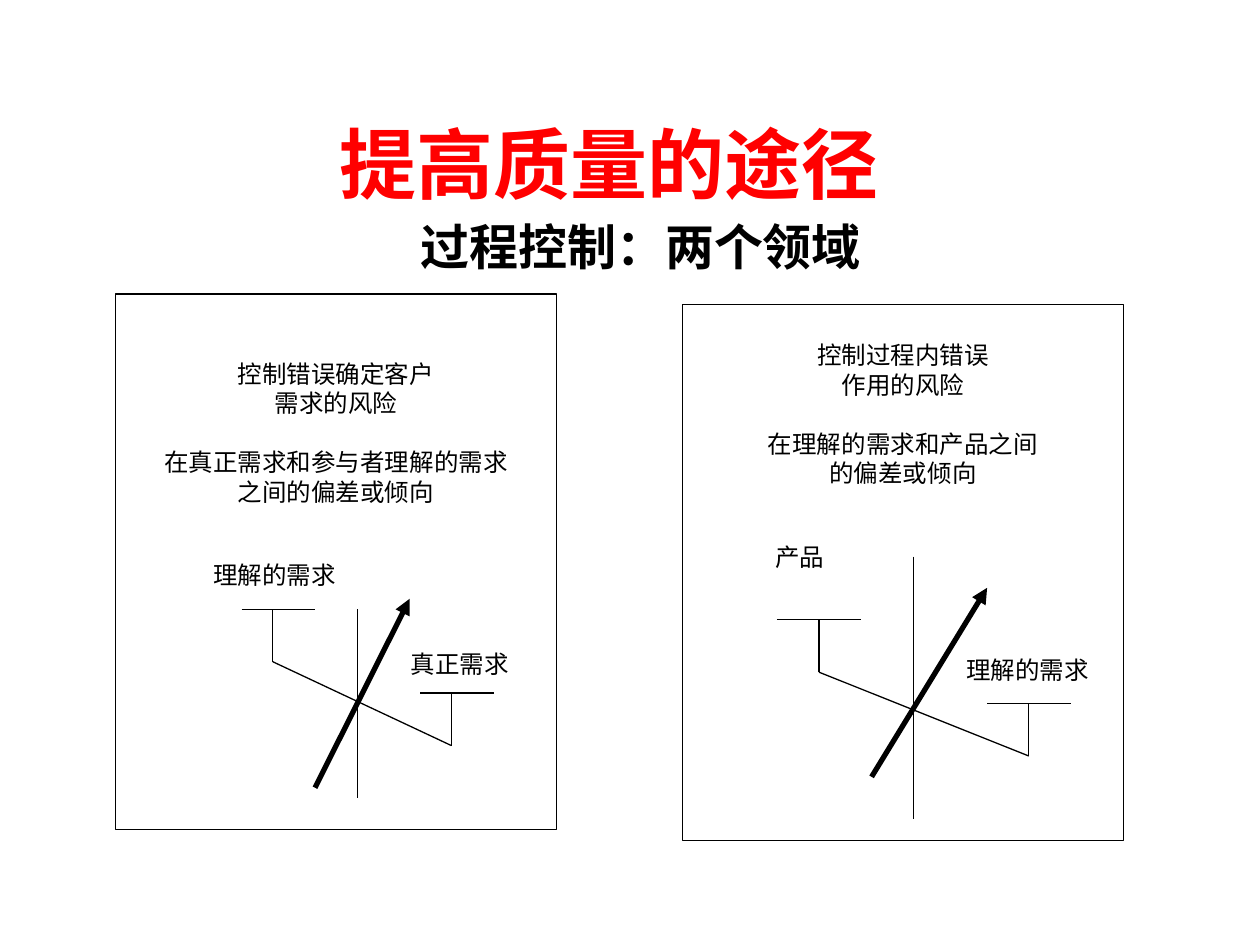
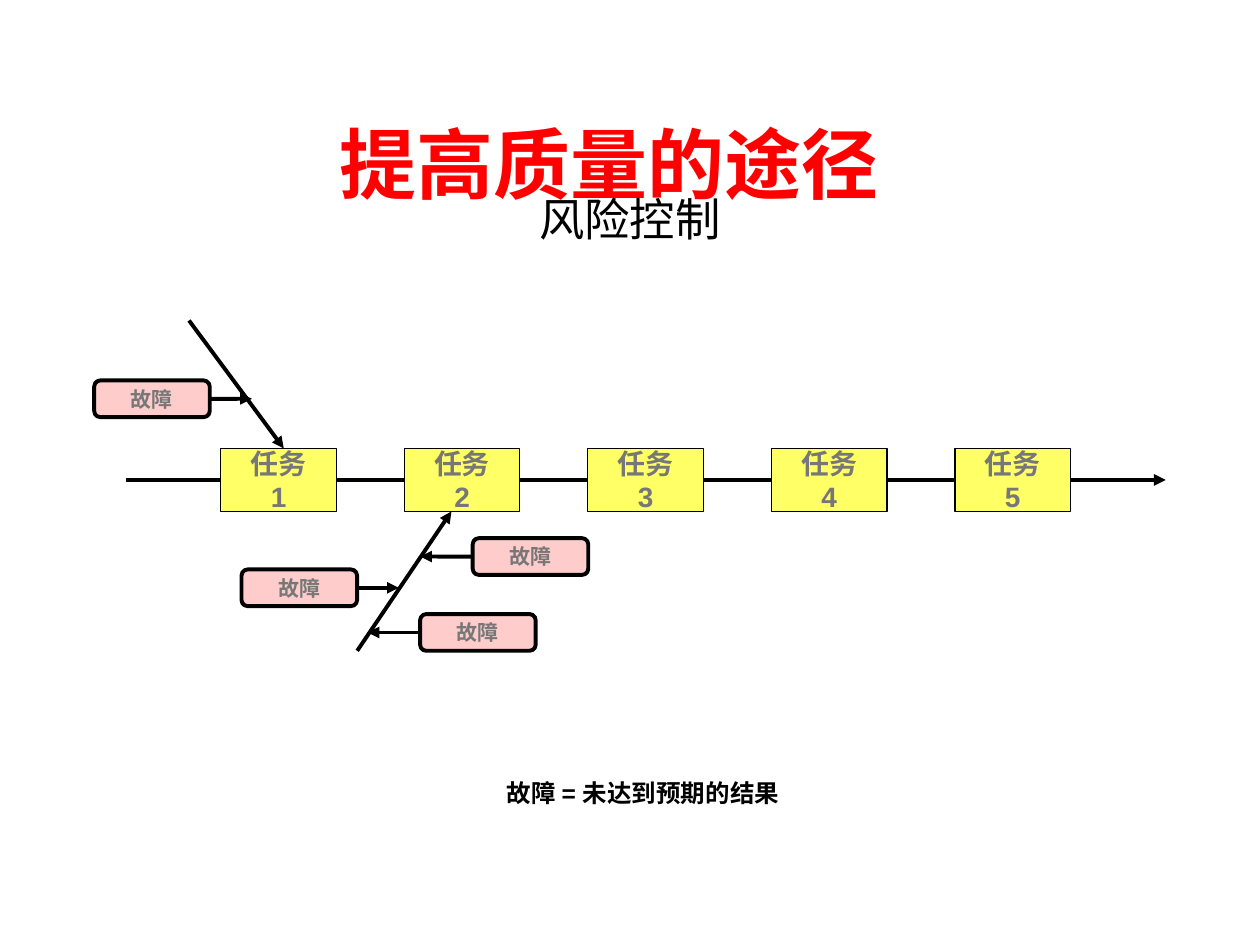
from dataclasses import dataclass
from typing import NamedTuple

from lxml.etree import SubElement
from pptx import Presentation
from pptx.dml.color import RGBColor
from pptx.enum.shapes import MSO_CONNECTOR, MSO_SHAPE
from pptx.enum.text import MSO_ANCHOR as Anchor, MSO_AUTO_SIZE, PP_ALIGN as Align
from pptx.oxml.ns import qn
from pptx.util import Cm, Pt

BLACK, WHITE, RED, GREY = "000000", "FFFFFF", "FF0000", "777777"
TASK_YELLOW, FAULT_PINK = "FFFF66", "FFCCCC"
TITLE_FONT, TEXT_FONT = "Lato", "Arial"
THIN, MEDIUM, THICK = 0.75, 2.25, 3

TITLE = "提高质量的途径"
PANEL_WIDTH, PANEL_HEIGHT = 8.89, 10.8
STEM_DROP = 1.06
BOX_WIDTH, TASK_HEIGHT, FAULT_HEIGHT = 2.33, 1.27, 0.74
TASK_LEFT, TASK_TOP, TASK_STEP, TASK_COUNT = 4.45, 9.04, 3.7, 5
LEFT_SIDE, RIGHT_SIDE = 1, 3


class Point(NamedTuple):
    x: float
    y: float


class Box(NamedTuple):
    left: float
    top: float
    width: float
    height: float


class TextStyle(NamedTuple):
    size: float
    color: str = BLACK
    bold: bool = False
    font: str = TEXT_FONT


class Line(NamedTuple):
    """One paragraph; an indent makes it a left-aligned label."""
    text: str
    before: float = 0
    indent: float | None = None


class Marker(NamedTuple):
    """A horizontal bar with a stem hanging from it."""
    left: float
    right: float
    y: float
    stem: float

    @property
    def foot(self) -> Point:
        return Point(self.stem, self.y + STEM_DROP)


class Fault(NamedTuple):
    left: float
    top: float
    tip: float


@dataclass
class Panel:
    left: float
    top: float
    text_inset: float
    lines: list[Line]
    markers: tuple[Marker, Marker]
    axis: tuple[Point, Point]
    arrow: tuple[Point, Point]


PANELS = [
    Panel(2.33, 5.93, 1.3,
          [Line("控制错误确定客户"), Line("需求的风险"),
           Line("在真正需求和参与者理解的需求", 17), Line("之间的偏差或倾向"),
           Line("理解的需求", 31, 1.72), Line("真正需求", 34, 5.7)],
          (Marker(4.87, 6.35, 12.28, 5.5), Marker(8.47, 9.95, 13.97, 9.1)),
          (Point(7.2, 12.28), Point(7.2, 16.09)),
          (Point(6.35, 15.88), Point(8.26, 12.07))),
    Panel(13.76, 6.14, 0.72,
          [Line("控制过程内错误"), Line("作用的风险"),
           Line("在理解的需求和产品之间", 17), Line("的偏差或倾向"),
           Line("产品", 31, 1.62), Line("理解的需求", 48, 5.47)],
          (Marker(15.66, 17.36, 12.49, 16.51), Marker(19.9, 21.59, 14.18, 20.74)),
          (Point(18.42, 11.22), Point(18.42, 16.51)),
          (Point(17.57, 15.66), Point(19.9, 11.85))),
]

FAULTS = [Fault(1.9, 7.67, 5.08), Fault(9.53, 10.85, 8.47),
          Fault(4.87, 11.48, 8.04), Fault(8.47, 12.38, 7.41)]
CAUSE_ARROWS = [(Point(3.81, 6.46), Point(5.72, 9.04)),
                (Point(7.2, 13.12), Point(9.1, 10.31))]


def rgb(color: str) -> RGBColor:
    return RGBColor.from_string(color)


def add_run(paragraph, text: str, style: TextStyle) -> None:
    run = paragraph.add_run()
    run.text = text
    run.font.size = Pt(style.size)
    run.font.name = style.font
    run.font.bold = style.bold
    run.font.color.rgb = rgb(style.color)


def write_lines(frame, lines: list[Line], style: TextStyle) -> None:
    for index, line in enumerate(lines):
        paragraph = frame.add_paragraph() if index else frame.paragraphs[0]
        paragraph.space_before = Pt(line.before)
        if line.indent is None:
            paragraph.alignment = Align.CENTER
        else:
            paragraph.alignment = Align.LEFT
            paragraph._p.get_or_add_pPr().set("marL", str(Cm(line.indent)))
        add_run(paragraph, line.text, style)


def place(shape, box: Box) -> None:
    shape.left, shape.top, shape.width, shape.height = map(Cm, box)


def add_headed_slide(presentation, subtitle: str, box: Box, style: TextStyle,
                     line_spacing: float = 1.0):
    """Add a slide with the shared title and a centred, bullet-free subtitle."""
    slide = presentation.slides.add_slide(presentation.slide_layouts[1])
    title, body = slide.shapes.title, slide.placeholders[1]
    place(title, Box(1.48, 1.69, 21.59, 3.18))
    place(body, box)
    for shape, anchor in ((title, Anchor.MIDDLE), (body, Anchor.TOP)):
        shape.text_frame.auto_size = MSO_AUTO_SIZE.NONE
        shape.text_frame.vertical_anchor = anchor
    write_lines(title.text_frame, [Line(TITLE)], TextStyle(44, RED, True, TITLE_FONT))
    write_lines(body.text_frame, [Line(subtitle, 7)], style)
    paragraph = body.text_frame.paragraphs[0]
    paragraph.line_spacing = line_spacing
    properties = paragraph._p.get_or_add_pPr()
    properties.set("marL", str(Cm(0.95)))
    properties.set("indent", str(Cm(-0.95)))
    SubElement(properties, qn("a:buNone"))
    return slide


def add_box(slide, kind: MSO_SHAPE, box: Box, fill: str, line_width: float,
            lines: list[Line], style: TextStyle):
    shape = slide.shapes.add_shape(kind, *map(Cm, box))
    shape.shadow.inherit = False
    shape.fill.solid()
    shape.fill.fore_color.rgb = rgb(fill)
    shape.line.color.rgb = rgb(BLACK)
    shape.line.width = Pt(line_width)
    shape.text_frame.word_wrap = False
    shape.text_frame.vertical_anchor = Anchor.MIDDLE
    write_lines(shape.text_frame, lines, style)
    return shape


def add_line(slide, start: Point, end: Point, width: float = THIN, arrow: bool = False):
    connector = slide.shapes.add_connector(MSO_CONNECTOR.STRAIGHT, *map(Cm, start + end))
    connector.line.color.rgb = rgb(BLACK)
    connector.line.width = Pt(width)
    if arrow:
        SubElement(connector.line._get_or_add_ln(), qn("a:tailEnd"), type="triangle")
    SubElement(connector._element.spPr, qn("a:effectLst"))
    return connector


def add_panel(slide, panel: Panel) -> None:
    shape = add_box(slide, MSO_SHAPE.RECTANGLE,
                    Box(panel.left, panel.top, PANEL_WIDTH, PANEL_HEIGHT),
                    WHITE, THIN, panel.lines, TextStyle(14))
    frame = shape.text_frame
    frame.word_wrap = True
    frame.vertical_anchor = Anchor.TOP
    frame.margin_top = Cm(panel.text_inset)
    for marker in panel.markers:
        add_line(slide, Point(marker.left, marker.y), Point(marker.right, marker.y))
        add_line(slide, Point(marker.stem, marker.y), marker.foot)
    first, second = panel.markers
    add_line(slide, first.foot, second.foot)
    add_line(slide, *panel.axis)
    add_line(slide, *panel.arrow, width=THICK, arrow=True)


def add_fault(slide, fault: Fault) -> None:
    """Add a fault box with an arrow from its side to the cause line."""
    shape = add_box(slide, MSO_SHAPE.ROUNDED_RECTANGLE,
                    Box(fault.left, fault.top, BOX_WIDTH, FAULT_HEIGHT),
                    FAULT_PINK, MEDIUM, [Line("故障")], TextStyle(12, GREY, True))
    points_right = fault.tip > fault.left
    middle = fault.top + FAULT_HEIGHT / 2
    start = fault.left + BOX_WIDTH if points_right else fault.left
    connector = add_line(slide, Point(start, middle), Point(fault.tip, middle), MEDIUM, True)
    connector.begin_connect(shape, RIGHT_SIDE if points_right else LEFT_SIDE)


def build_two_areas(presentation) -> None:
    slide = add_headed_slide(presentation, "过程控制：两个领域",
                             Box(2.12, 4.23, 21.59, 12.91), TextStyle(28, bold=True))
    for panel in PANELS:
        add_panel(slide, panel)


def build_risk_control(presentation) -> None:
    slide = add_headed_slide(presentation, "风险控制", Box(1.9, 4.02, 21.59, 1.06),
                             TextStyle(25.9), line_spacing=0.7)
    axis_y = TASK_TOP + TASK_HEIGHT / 2
    add_line(slide, Point(2.54, axis_y), Point(23.5, axis_y), MEDIUM, True)
    for index in range(TASK_COUNT):
        add_box(slide, MSO_SHAPE.RECTANGLE,
                Box(TASK_LEFT + index * TASK_STEP, TASK_TOP, BOX_WIDTH, TASK_HEIGHT),
                TASK_YELLOW, THIN, [Line("任务"), Line(str(index + 1))],
                TextStyle(16, GREY, True))
    for start, end in CAUSE_ARROWS:
        add_line(slide, start, end, MEDIUM, True)
    for fault in FAULTS:
        add_fault(slide, fault)
    note = slide.shapes.add_textbox(*map(Cm, Box(9.75, 15.35, 6.43, 1.27)))
    note.text_frame.word_wrap = True
    note.text_frame.vertical_anchor = Anchor.MIDDLE
    write_lines(note.text_frame, [Line("故障 = 未达到预期的结果")], TextStyle(14, bold=True))


def main() -> None:
    presentation = Presentation()
    presentation.slide_width, presentation.slide_height = Cm(25.4), Cm(19.05)
    build_two_areas(presentation)
    build_risk_control(presentation)
    presentation.save("out.pptx")


if __name__ == "__main__":
    main()
